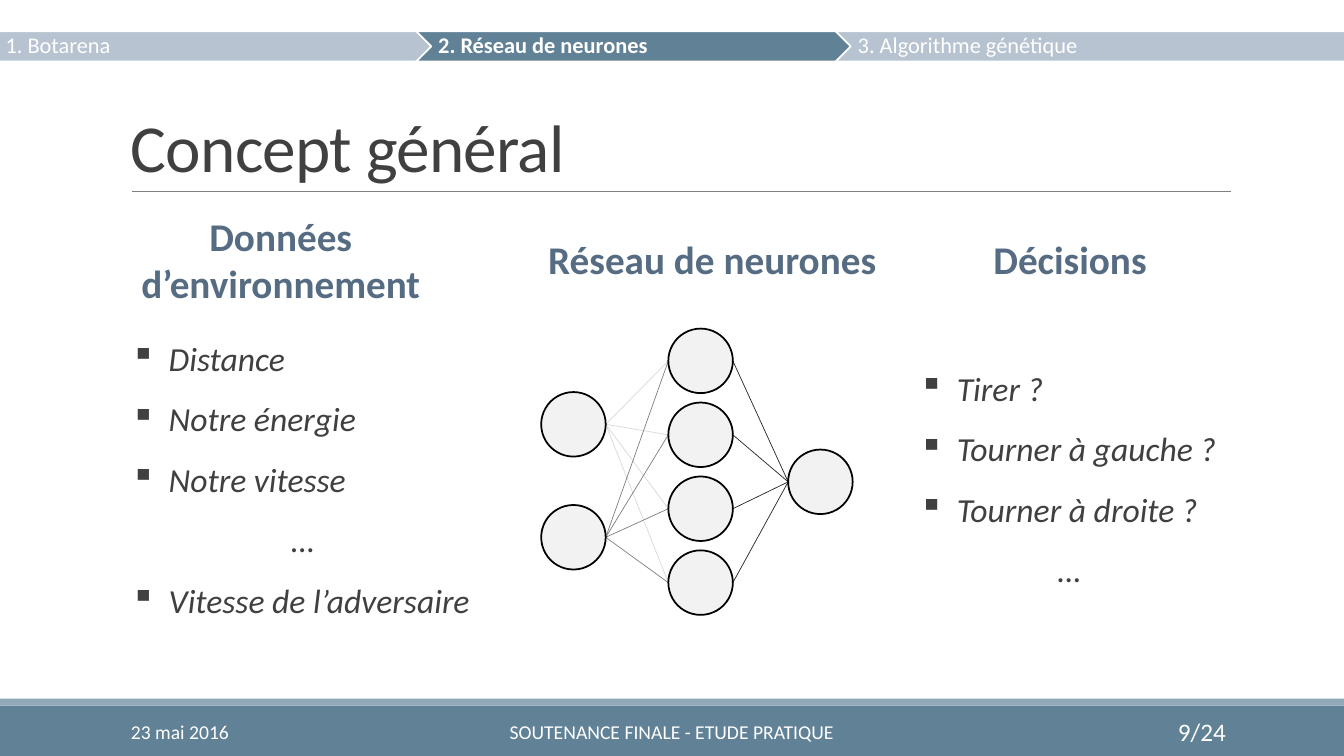
import dataclasses

import pptx
import pptx.dml.color
import pptx.enum.shapes
import pptx.enum.text
import pptx.util
import lxml.etree

Pt = pptx.util.Pt
SHAPES = pptx.enum.shapes.MSO_SHAPE
ALIGN = pptx.enum.text.PP_ALIGN
ANCHOR = pptx.enum.text.MSO_ANCHOR
NAMESPACE = "{http://schemas.openxmlformats.org/drawingml/2006/main}"


@dataclasses.dataclass(frozen=True)
class Theme:
    font: str = "Calibri"
    white: str = "FFFFFF"
    black: str = "000000"
    steel: str = "618197"
    pale_steel: str = "92A9B9"
    inactive: str = "B7C3D0"
    heading: str = "566C83"
    body: str = "404040"
    neuron: str = "F2F2F2"
    gray: str = "808080"
    light_link: str = "D9D9D9"
    dark_link: str = "262626"
    title_size: int = 48
    heading_size: int = 28
    list_size: int = 24
    number_size: int = 18
    step_size: int = 16
    footer_size: int = 14


theme = Theme()
rgb = pptx.dml.color.RGBColor.from_string

deck = pptx.Presentation()
deck.slide_width, deck.slide_height = Pt(960), Pt(540)
page = deck.slides.add_slide(deck.slide_layouts[6])


def add_figure(kind, frame, fill, outline=None):
    figure = page.shapes.add_shape(kind, *map(Pt, frame))
    figure.shadow.inherit = False
    figure.fill.solid()
    figure.fill.fore_color.rgb = rgb(fill)
    if outline:
        figure.line.color.rgb = rgb(outline)
        figure.line.width = Pt(1.25)
    else:
        figure.line.fill.background()


def add_text(frame, lines, size, color, align=ALIGN.LEFT, font=None, layout=None, spacing=None):
    box = page.shapes.add_textbox(*map(Pt, frame))
    box.text_frame.word_wrap = True
    for name, value in (layout or {}).items():
        setattr(box.text_frame, name, value)
    for index, line in enumerate(lines):
        para = box.text_frame.paragraphs[0] if index == 0 else box.text_frame.add_paragraph()
        para.alignment = align
        if spacing:
            para.line_spacing = spacing
        span = para.add_run()
        span.text = line
        span.font.color.rgb = rgb(color)
        for name, value in {"name": theme.font, "size": Pt(size), **(font or {})}.items():
            setattr(span.font, name, value)
    return box


# Footer bands and the rule under the title
add_figure(SHAPES.RECTANGLE, (0, 504, 960, 36), theme.steel)
add_figure(SHAPES.RECTANGLE, (0, 499, 960, 5), theme.pale_steel)
links = [(94.3, 136.8, 879.1, 136.8, theme.gray)]

# Footer texts
for left, width, text, size, align in (
    (86.4, 194.4, "23 mai 2016", theme.footer_size, ALIGN.LEFT),
    (290.2, 379.4, "SOUTENANCE FINALE - ETUDE PRATIQUE", theme.footer_size, ALIGN.CENTER),
    (779.8, 103, "9/24", theme.number_size, ALIGN.RIGHT),
):
    add_text((left, 508.3, width, 28.8), [text], size, theme.white, align,
             layout={"vertical_anchor": ANCHOR.MIDDLE})

# Title
title = add_text((86.4, 22.3, 792, 114.5), ["Concept général"], theme.title_size, theme.body,
                 layout={"vertical_anchor": ANCHOR.BOTTOM}, spacing=0.85)
title.text_frame.paragraphs[0].runs[0].font._element.set("spc", "-50")

# Column headings
for frame, text in (
    ((86.4, 148.3, 228.2, 74.9), "Données d’environnement"),
    ((367.9, 164.9, 281.5, 41), "Réseau de neurones"),
    ((675.4, 164.9, 177.8, 41), "Décisions"),
):
    add_text(frame, [text], theme.heading_size, theme.heading, ALIGN.CENTER, {"bold": True})

# Lists of inputs and decisions; an ellipsis is centred and has no bullet
for frame, entries in (
    ((86.4, 223.2, 259.9, 225.4),
     ["Distance", "Notre énergie", "Notre vitesse", "…", "Vitesse de l’adversaire"]),
    ((649.4, 244.8, 229, 181.4),
     ["Tirer ?", "Tourner à gauche ?", "Tourner à droite ?", "…"]),
):
    box = add_text(frame, entries, theme.list_size, theme.body,
                   font={"italic": True}, spacing=1.5)
    for para in box.text_frame.paragraphs:
        if para.text == "…":
            para.alignment = ALIGN.CENTER
            continue
        properties = para._p.get_or_add_pPr()
        properties.set("marL", str(Pt(27)))
        properties.set("indent", str(-Pt(27)))
        lxml.etree.SubElement(properties, NAMESPACE + "buChar", char="▪")

# Progress bar of the three chapters
for index, text in enumerate(["1. Botarena", "2. Réseau de neurones", "3. Algorithme génétique"]):
    left = -2.5 + 299.7 * index
    active = index == 1
    add_figure(SHAPES.CHEVRON if index else SHAPES.PENTAGON, (left, 22.3, 375.1, 21.6),
               theme.steel if active else theme.inactive, theme.white)
    add_text((left + (10.8 if index else 0), 22.3, 353 if index else 369, 21.6), [text],
             theme.step_size, theme.white, font={"bold": active}, spacing=0.9,
             layout={"vertical_anchor": ANCHOR.MIDDLE, "margin_right": Pt(1.4),
                     "margin_left": Pt(5 if index else 6.5)})

# Neural network: left edge and neuron centres of each layer
diameter = 46.1
layers = [
    (386.6, [303.1, 383.8]),
    (477.4, [257.8 + 52.8 * row for row in range(4)]),
    (563, [344.2]),
]
link_colors = [[theme.light_link, theme.gray], [theme.dark_link] * 4]
for (left, starts), (right, ends), colors in zip(layers, layers[1:], link_colors):
    for start, color in zip(starts, colors):
        links += [(left + diameter, start, right, end, color) for end in ends]

for *ends, color in links:
    link = page.shapes.add_connector(pptx.enum.shapes.MSO_CONNECTOR.STRAIGHT, *map(Pt, ends))
    link.line.color.rgb = rgb(color)
    link.line.width = Pt(0.5)
    lxml.etree.SubElement(link._element.spPr, NAMESPACE + "effectLst")

for left, centres in layers:
    for centre in centres:
        add_figure(SHAPES.OVAL, (left, centre - diameter / 2, diameter, diameter),
                   theme.neuron, theme.black)

deck.save("out.pptx")
